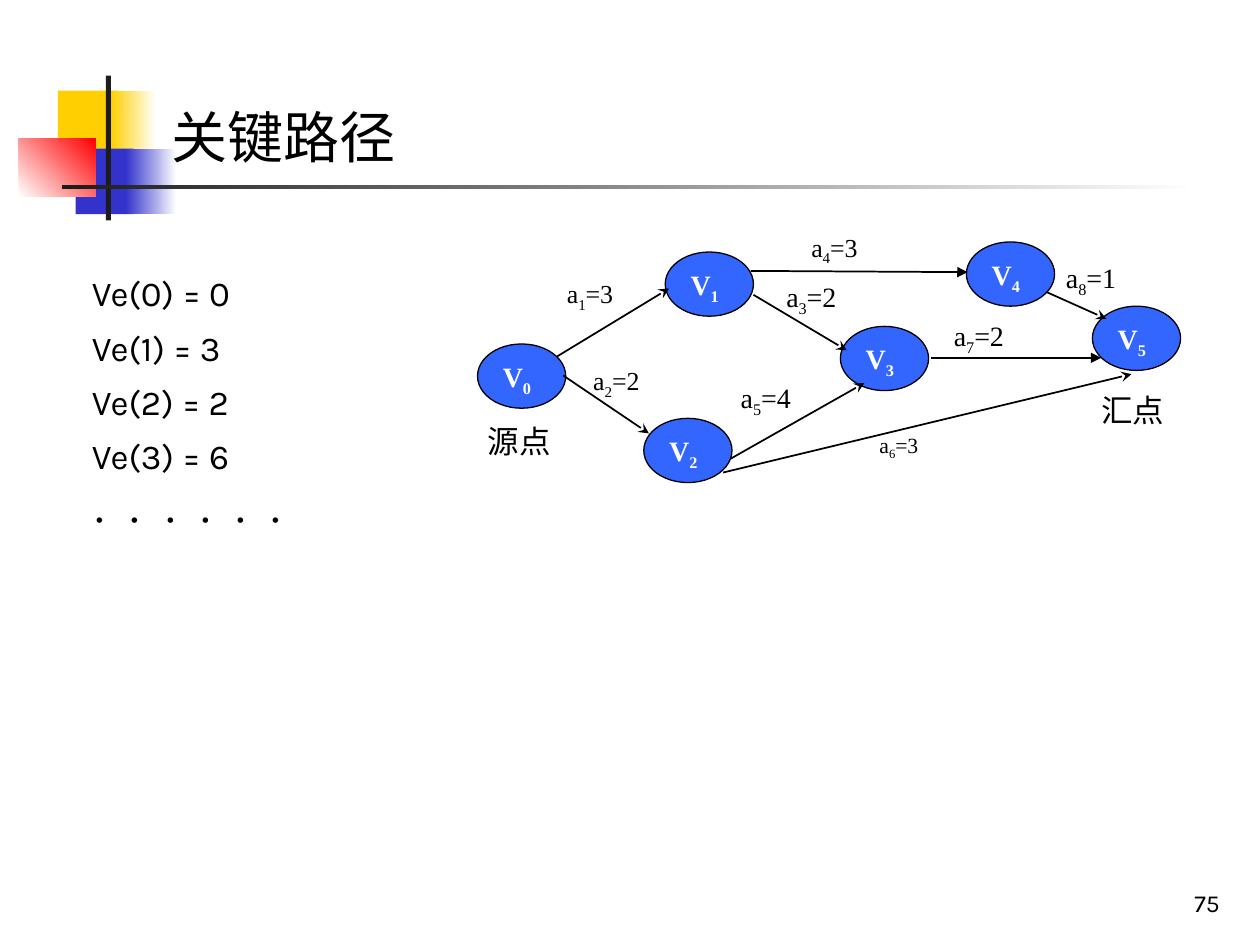
from pptx import Presentation
from pptx.dml.color import RGBColor
from pptx.enum.shapes import MSO_CONNECTOR, MSO_SHAPE
from pptx.enum.text import MSO_ANCHOR, MSO_AUTO_SIZE, PP_ALIGN
from pptx.oxml.ns import qn
from pptx.util import Inches, Pt
from lxml import etree

RECT, OVAL = MSO_SHAPE.RECTANGLE, MSO_SHAPE.OVAL
LINE = MSO_CONNECTOR.STRAIGHT
TOP, MID, LOW = MSO_ANCHOR.TOP, MSO_ANCHOR.MIDDLE, MSO_ANCHOR.BOTTOM
LEFT, RIGHT = PP_ALIGN.LEFT, PP_ALIGN.RIGHT
FIXED = MSO_AUTO_SIZE.NONE
COLORS = {"ink": "000000", "paper": "FFFFFF", "node": "3366FF", "gold": "FFCF01",
          "blue": "3333CC", "red": "FF0000", "bar": "1C1C1C"}
SANS, SERIF, HAN = "Karla", "Times New Roman", "Noto Sans CJK JP"
COLS, ROWS = 100, 75
NODE = (7, 5.1)


class Deck:
    """Holds the style and the current slide, placed on a grid of COLS by ROWS."""

    def __init__(self):
        """Open a slide with a title and a body."""
        self.prs = Presentation()
        self.prs.slide_width, self.prs.slide_height = Inches(10), Inches(7.5)
        self.slide = self.prs.slides.add_slide(self.prs.slide_layouts[1])
        self.shapes = self.slide.shapes

    def span(self, *cells):
        """Turn alternating columns and rows into lengths."""
        units = self.prs.slide_width / COLS, self.prs.slide_height / ROWS
        return [round(c * units[i % 2]) for i, c in enumerate(cells)]

    def color(self, name):
        """Look up a colour."""
        return RGBColor.from_string(COLORS[name])

    def frame(self, shape, anchor=TOP, pad=1):
        """Set the wrap, anchor and insets of a shape's text."""
        tf = shape.text_frame
        tf.auto_size, tf.word_wrap, tf.vertical_anchor = FIXED, True, anchor
        tf.margin_left, tf.margin_top = self.span(pad, 0.5 if pad is not None else 0)
        tf.margin_right, tf.margin_bottom = tf.margin_left, tf.margin_top
        return tf

    def style(self, para, size, face=SANS, tint="ink", bold=False, align=LEFT):
        """Set the font and alignment of a paragraph."""
        para.alignment = align
        font = para.font
        font.size, font.name, font.bold = Pt(size), face, bold
        font.color.rgb = self.color(tint)

    def block(self, cells, fill, fade=None, turn=0):
        """Draw a plain or fading rectangle."""
        shape = self.shapes.add_shape(RECT, *self.span(*cells))
        shape.shadow.inherit = False
        shape.line.fill.background()
        if fade:
            shape.fill.gradient()
            shape.fill.gradient_angle = turn
            for stop, name, pos in zip(shape.fill.gradient_stops, (fill, fade), (0, 1)):
                stop.color.rgb, stop.position = self.color(name), pos
        else:
            shape.fill.solid()
            shape.fill.fore_color.rgb = self.color(fill)

    def lift(self, shape, cells):
        """Move a placeholder to its cells and to the front."""
        shape.left, shape.top, shape.width, shape.height = self.span(*cells)
        shape.element.getparent().append(shape.element)

    def title(self, text, cells):
        """Fill the title placeholder."""
        shape = self.shapes.title
        self.lift(shape, cells)
        para = self.frame(shape, MID).paragraphs[0]
        para.text = text
        self.style(para, 32, HAN)

    def list(self, items, cells, pitch):
        """Fill the body placeholder with lines at an even pitch."""
        shape = self.slide.placeholders[1]
        self.lift(shape, cells)
        tf = self.frame(shape)
        tf.text = "\n".join(items)
        for para in tf.paragraphs:
            props = para._p.get_or_add_pPr()
            props.set("marL", "0")
            props.set("indent", "0")
            etree.SubElement(props, qn("a:buNone"))
            para.line_spacing, para.space_before = Pt(pitch), Pt(0)
            self.style(para, 20)

    def text(self, words, cells, size, anchor=TOP, align=LEFT, pad=1):
        """Add a one-line text box."""
        box = self.shapes.add_textbox(*self.span(*cells))
        para = self.frame(box, anchor, pad).paragraphs[0]
        para.text = words
        self.style(para, size, align=align)

    def index(self, para, base, sub, rest=""):
        """Write a symbol with a subscript."""
        for part in filter(None, (base, sub, rest)):
            run = para.add_run()
            run.text = part
            if part is sub:
                run._r.get_or_add_rPr().set("baseline", "-25000")

    def node(self, num, x, y):
        """Draw a numbered vertex."""
        shape = self.shapes.add_shape(OVAL, *self.span(x, y, *NODE))
        shape.shadow.inherit = False
        shape.fill.solid()
        shape.fill.fore_color.rgb = self.color("node")
        shape.line.color.rgb, shape.line.width = self.color("ink"), Pt(0.75)
        para = self.frame(shape).paragraphs[0]
        self.index(para, "V", str(num))
        self.style(para, 16, SERIF, "paper", True)

    def edge(self, ends, head="stealth"):
        """Draw an arrow."""
        line = self.shapes.add_connector(LINE, *self.span(*ends))
        line.line.color.rgb, line.line.width = self.color("ink"), Pt(1)
        props = line.element.spPr
        etree.SubElement(props.find(qn("a:ln")), qn("a:tailEnd")).set("type", head)
        etree.SubElement(props, qn("a:effectLst"))

    def cost(self, num, value, cells, size, lead, pad):
        """Label an edge with its weight."""
        box = self.shapes.add_textbox(*self.span(*cells))
        para = self.frame(box, pad=pad).paragraphs[0]
        para.line_spacing = lead
        self.index(para, "a", str(num), f"={value}")
        self.style(para, size, SERIF)


def main():
    """Build the slide."""
    deck = Deck()
    for block in [((4.6, 7.2, 4.8, 5.2), "gold"),
                  ((8.8, 7.2, 3.6, 5.2), "gold", "paper"),
                  ((6, 11.8, 4.6, 5.2), "blue"),
                  ((10, 11.8, 4, 5.2), "blue", "paper"),
                  ((1.5, 11, 6.1, 4.6), "paper", "red", 45),
                  ((8.4, 6, 0.4, 11.5), "bar"),
                  ((4.9, 14.7, 90, 0.3), "bar", "paper")]:
        deck.block(*block)
    deck.title("关键路径", (12.6, 7.6, 87.4, 6.4))
    times = [f"Ve({i}) = {t}" for i, t in enumerate((0, 3, 2, 6))]
    deck.list(times + ["．．．．．．"], (6.3, 20.1, 35.7, 22.5), 31)

    spots = [(37.9, 27.3), (52.8, 20), (51.1, 33.2), (66.7, 25.9), (76.7, 19.2), (86.7, 24.3)]
    for num, spot in enumerate(spots):
        deck.node(num, *spot)
    for ends in [(44.2, 28.3, 53.1, 22.9), (44.7, 29.8, 51.5, 34.4),
                 (59.8, 23.4, 67.2, 27.8), (58, 36.4, 68.6, 30.4),
                 (83.1, 23.2, 87.8, 25.3), (57.4, 37.5, 89.8, 29.7)]:
        deck.edge(ends)
    for ends in [(59.6, 21.5, 76.8, 21.6), (73.9, 28.4, 87.4, 28.4)]:
        deck.edge(ends, "triangle")

    big, mid, small = (16, 1), (14.8, 0.9), (12.4, 0.8)
    costs = [(3, (44, 21.6, 8.1, 3.8), mid, 1), (2, (46.1, 28.5, 10.1, 3.8), mid, 1),
             (2, (62.4, 21.7, 5.9, 4.7), big, 0), (3, (63.4, 17.9, 7.5, 4), mid, 1),
             (4, (57.8, 29.7, 7.2, 4.2), big, 1), (3, (69.8, 34, 5.6, 3.5), small, 0),
             (2, (75.7, 24.8, 6, 4.2), big, 0), (1, (84.6, 20.2, 6.6, 4.4), big, 0)]
    for num, (value, cells, kind, pad) in enumerate(costs, 1):
        deck.cost(num, value, cells, *kind, pad)

    deck.text("源点", (38.7, 33.5, 8.4, 3.5), 18, LOW, pad=0)
    deck.text("汇点", (87.4, 31, 6.6, 3.5), 18, LOW, pad=0)
    deck.text("75", (77, 68.3, 20.8, 5), 14, LOW, RIGHT)
    deck.prs.save("out.pptx")


if __name__ == "__main__":
    main()
